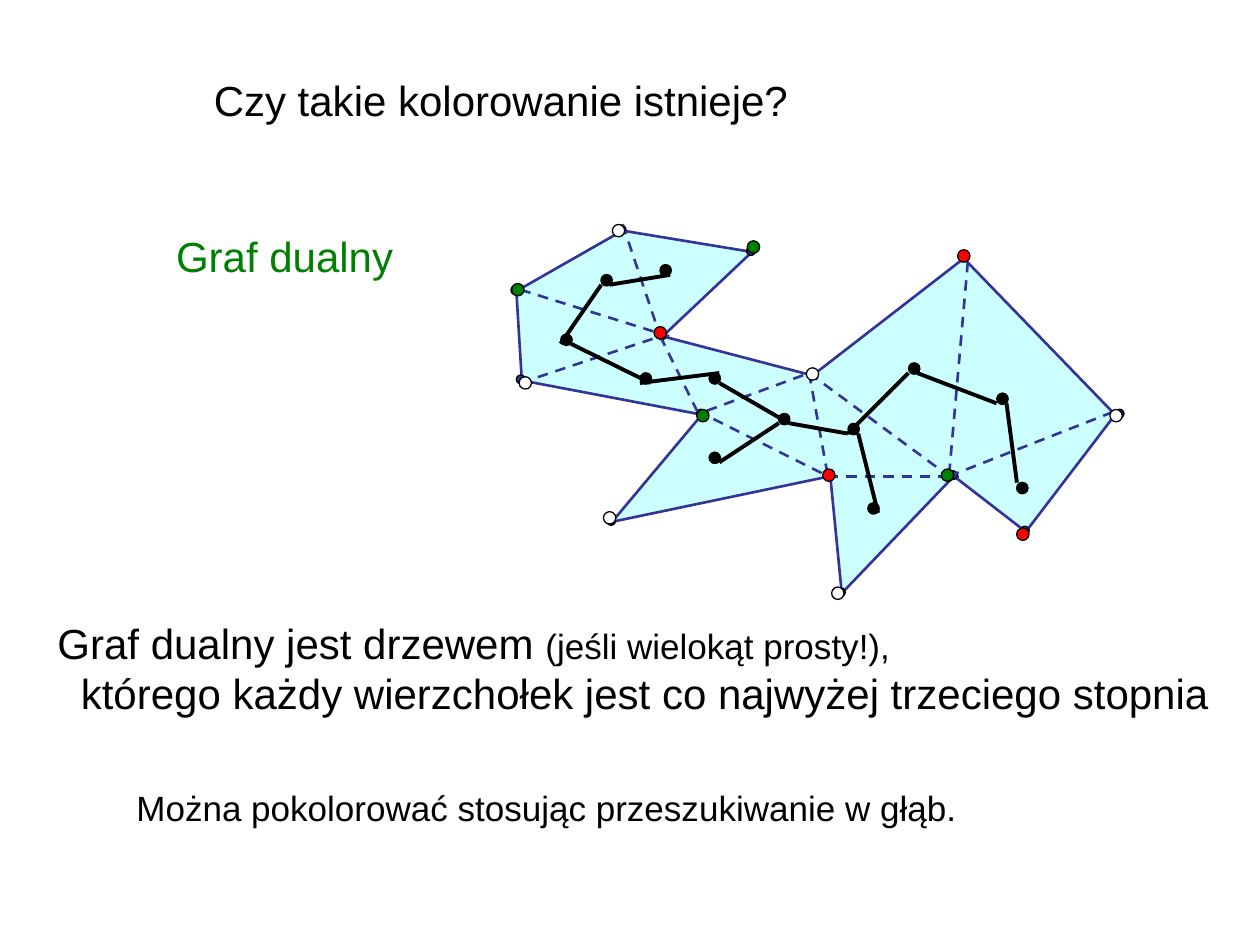
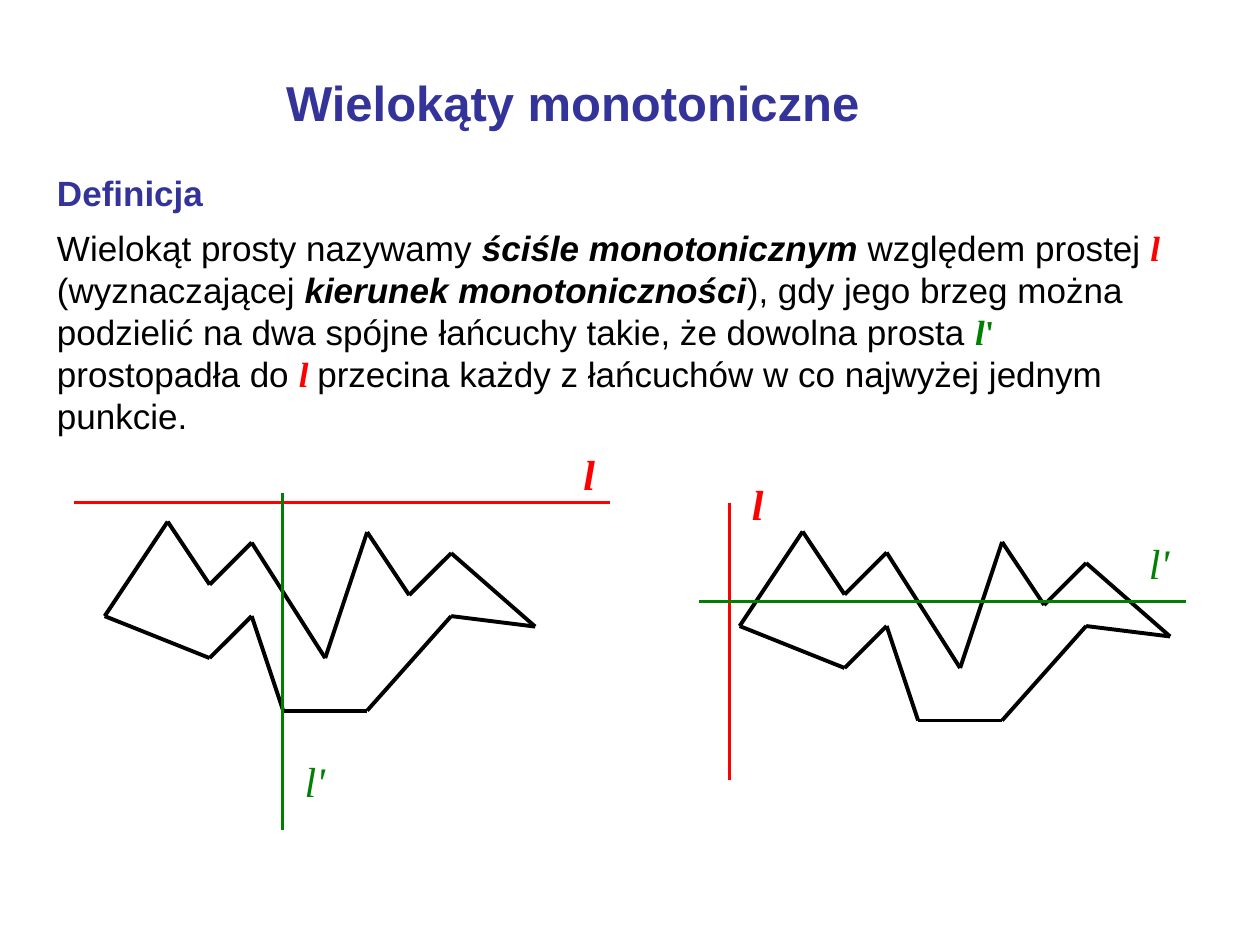
from itertools import pairwise

from lxml.etree import SubElement
from pptx import Presentation
from pptx.dml.color import RGBColor
from pptx.enum.dml import MSO_LINE
from pptx.enum.shapes import MSO_CONNECTOR, MSO_SHAPE
from pptx.enum.text import MSO_AUTO_SIZE
from pptx.oxml.ns import qn
from pptx.util import Cm, Pt

# Shared look
COLORS = {"black": "000000", "white": "FFFFFF", "red": "FF0000",
          "green": "008000", "navy": "333399", "pale": "CCFFFF"}
SANS, SERIF = "Arial", "Times New Roman"
THIN, MEDIUM, THICK = 0.75, 1.5, 2.25
PLAIN = {"name": SANS, "color": "black"}
TERM = PLAIN | {"bold": True, "italic": True}
HEADING = {"name": SANS, "color": "navy", "bold": True}
LINE_L = {"name": SERIF, "color": "red", "bold": True, "italic": True}
LINE_L_PRIME = {"name": SERIF, "color": "green", "italic": True}
BOLD_L_PRIME = LINE_L_PRIME | {"bold": True}

# Slide 1 texts: left, top, width, height (cm), wrap, paragraphs
# A paragraph is: font, runs (text, font), further layout
DUAL_TEXTS = [
    (4.06, 1.37, 12.09, 1.27, False,
     [(PLAIN | {"size": 24}, [("Czy takie kolorowanie istnieje?", {})], {})]),
    (3.3, 4.52, 4.88, 1.27, False,
     [(PLAIN | {"size": 24, "color": "green"}, [("Graf dualny", {})], {})]),
    (0.91, 12.32, 23.7, 2.29, False,
     [(PLAIN, [("Graf dualny jest drzewem ", {"size": 24}),
               ("(jeśli wielokąt prosty!),", {"size": 20})], {}),
      (PLAIN | {"size": 24},
       [("którego każdy wierzchołek jest co najwyżej trzeciego stopnia", {})],
       {"indent": 0.47})]),
    (2.5, 15.73, 18.8, 1.12, True,
     [(PLAIN | {"size": 20},
       [("Można pokolorować stosując przeszukiwanie w głąb.", {})], {})]),
]

# Polygon corners (cm), each with the centre and colour of its colouring dot
CORNERS = [
    ((12.55, 4.65), (12.47, 4.65), "white"),
    ((10.41, 5.87), (10.44, 5.84), "green"),
    ((10.52, 7.67), (10.59, 7.72), "white"),
    ((14.15, 8.36), (14.17, 8.38), "green"),
    ((12.34, 10.52), (12.29, 10.44), "white"),
    ((16.74, 9.6), (16.71, 9.58), "red"),
    ((16.97, 11.96), (16.89, 11.96), "white"),
    ((19.23, 9.6), (19.1, 9.58), "green"),
    ((20.68, 10.72), (20.62, 10.77), "red"),
    ((22.48, 8.36), (22.5, 8.38), "white"),
    ((19.43, 5.21), (19.43, 5.16), "red"),
    ((16.38, 7.57), (16.38, 7.54), "white"),
    ((13.36, 6.78), (13.31, 6.71), "red"),
    ((15.16, 5.08), (15.19, 4.98), "green"),
]
# Corner dots sit a little up and left; the rightmost one is outside the outline
CORNER_DOT_OFFSET = 0.02
OUTSIDE_DOTS = {(22.48, 8.36): (22.59, 8.36)}

DIAGONALS = [
    ((12.55, 4.52), (13.31, 6.78)),
    ((10.49, 5.84), (13.49, 6.78)),
    ((10.49, 7.72), (13.31, 6.78)),
    ((13.31, 6.78), (14.05, 8.28)),
    ((14.05, 8.28), (16.69, 9.6)),
    ((14.25, 8.28), (16.31, 7.52)),
    ((16.31, 7.52), (16.69, 9.6)),
    ((16.69, 9.6), (19.33, 9.6)),
    ((16.31, 7.52), (19.13, 9.6)),
    ((19.51, 5.28), (19.13, 9.6)),
    ((19.13, 9.6), (22.5, 8.28)),
]

DUAL_NODES = [
    (13.42, 5.45), (12.23, 5.65), (11.42, 6.85), (13.02, 7.63),
    (14.41, 7.63), (14.41, 9.23), (15.81, 8.45), (17.21, 8.65),
    (18.43, 7.43), (20.21, 8.04), (17.61, 10.25), (20.61, 9.84),
]
DUAL_EDGES = [
    ((13.51, 5.54), (12.29, 5.74)),
    ((12.12, 5.74), (11.3, 6.93)),
    ((11.51, 6.93), (13.11, 7.72)),
    ((12.9, 7.72), (14.5, 7.52)),
    ((14.5, 7.72), (15.9, 8.53)),
    ((15.7, 8.53), (14.5, 9.32)),
    ((15.9, 8.53), (17.09, 8.74)),
    ((17.3, 8.74), (17.7, 10.34)),
    ((17.09, 8.74), (18.31, 7.52)),
    ((18.49, 7.52), (20.09, 8.13)),
    ((20.29, 8.13), (20.5, 9.73)),
]

# Slide 2 texts
DEFINITION = [
    ("Wielokąt prosty nazywamy ", PLAIN),
    ("ściśle monotonicznym", TERM),
    (" względem prostej ", PLAIN),
    ("l ", LINE_L),
    ("(wyznaczającej ", PLAIN),
    ("kierunek monotoniczności", TERM),
    ("), gdy jego brzeg można podzielić na dwa spójne łańcuchy takie, "
     "że dowolna prosta ", PLAIN),
    ("l", BOLD_L_PRIME),
    ("'", BOLD_L_PRIME | {"italic": False}),
    (" prostopadła do ", PLAIN),
    ("l ", LINE_L),
    ("przecina każdy z łańcuchów w co najwyżej jednym punkcie.", PLAIN),
]
MONOTONE_TEXTS = [
    (5.52, 1.33, 12.07, 1.45, False,
     [(HEADING | {"size": 28}, [("Wielokąty monotoniczne", {})], {})]),
    (0.9, 3.33, 22.81, 5.61, True,
     [(HEADING | {"size": 20}, [("Definicja", {})], {}),
      ({"size": 20}, DEFINITION, {"before": 7.5})]),
]

# Both chains of the polygon, in grid steps from its left corner
GRID = 2.54 / 12
CHAINS = [
    [(0, 0), (6, -9), (10, -3), (14, -7), (21, 4), (25, -8), (29, -2),
     (33, -6), (41, 1)],
    [(0, 0), (10, 4), (14, 0), (17, 9), (25, 9), (33, 0), (41, 1)],
]
# Left corner, line l, line l', and the places of their labels (cm)
EXAMPLES = [
    {"corner": (2.11, 12.42),
     "l": ((1.5, 10.13), (12.29, 10.13)), "l label": (11.51, 8.92),
     "l'": ((5.69, 9.93), (5.69, 16.74)), "l' label": (5.89, 15.11)},
    {"corner": (14.91, 12.62),
     "l": ((14.71, 10.13), (14.71, 15.72)), "l label": (14.91, 9.53),
     "l'": ((14.1, 12.12), (23.9, 12.12)), "l' label": (22.91, 10.72)},
]
LABEL_WIDTHS = {"l": 0.74, "l'": 1.05}


def rgb(color):
    return RGBColor.from_string(COLORS[color])


def set_font(font, name=None, size=None, color=None, bold=None, italic=None):
    if name:
        font.name = name
    if size:
        font.size = Pt(size)
    if color:
        font.color.rgb = rgb(color)
    font.bold, font.italic = bold, italic


def add_text(slide, left, top, width, height, wrap, paragraphs):
    frame = slide.shapes.add_textbox(
        Cm(left), Cm(top), Cm(width), Cm(height)).text_frame
    frame.word_wrap = wrap
    frame.auto_size = MSO_AUTO_SIZE.SHAPE_TO_FIT_TEXT
    for number, (font, runs, layout) in enumerate(paragraphs):
        paragraph = frame.add_paragraph() if number else frame.paragraphs[0]
        if "indent" in layout:
            paragraph._p.get_or_add_pPr().set("marL", str(Cm(layout["indent"])))
        if "before" in layout:
            paragraph.space_before = Pt(layout["before"])
        set_font(paragraph.font, **font)
        for text, run_font in runs:
            run = paragraph.add_run()
            run.text = text
            if run_font:
                set_font(run.font, **run_font)


def add_line(slide, start, end, color, weight, dash=None):
    line = slide.shapes.add_connector(
        MSO_CONNECTOR.STRAIGHT, *(Cm(v) for v in (*start, *end)))
    line.line.color.rgb = rgb(color)
    line.line.width = Pt(weight)
    if dash:
        line.line.dash_style = dash
    SubElement(line._element.spPr, qn("a:effectLst"))


def paint(shape, fill, outline, weight):
    shape.shadow.inherit = False
    shape.fill.solid()
    shape.fill.fore_color.rgb = rgb(fill)
    shape.line.color.rgb = rgb(outline)
    shape.line.width = Pt(weight)


def add_dot(slide, center, size, color):
    x, y = center
    dot = slide.shapes.add_shape(
        MSO_SHAPE.OVAL, Cm(x - size / 2), Cm(y - size / 2), Cm(size), Cm(size))
    paint(dot, color, "black", THIN)


def build_dual_graph(slide):
    # Triangulated polygon
    outline = [(Cm(x), Cm(y)) for (x, y), _, _ in CORNERS]
    builder = slide.shapes.build_freeform(*outline[0], scale=1.0)
    builder.add_line_segments(outline[1:], close=True)
    paint(builder.convert_to_shape(), "pale", "navy", MEDIUM)
    for corner, _, _ in CORNERS:
        x, y = OUTSIDE_DOTS.get(corner, corner)
        add_dot(slide, (x - CORNER_DOT_OFFSET, y - CORNER_DOT_OFFSET),
                0.18, "navy")
    for start, end in DIAGONALS:
        add_line(slide, start, end, "navy", MEDIUM, MSO_LINE.DASH)
    # Three-colouring
    for _, center, color in CORNERS:
        add_dot(slide, center, 0.25, color)
    # Dual tree
    for node in DUAL_NODES:
        add_dot(slide, node, 0.23, "black")
    for start, end in DUAL_EDGES:
        add_line(slide, start, end, "black", THICK)
    for text in DUAL_TEXTS:
        add_text(slide, *text)


def build_monotone(slide):
    for text in MONOTONE_TEXTS:
        add_text(slide, *text)
    for example in EXAMPLES:
        # Polygon
        x, y = example["corner"]
        for chain in CHAINS:
            points = [(x + dx * GRID, y + dy * GRID) for dx, dy in chain]
            for start, end in pairwise(points):
                add_line(slide, start, end, "black", THICK)
        # Direction l and its perpendicular l'
        for name, font in (("l", LINE_L), ("l'", LINE_L_PRIME)):
            add_line(slide, *example[name], font["color"], MEDIUM)
            add_text(slide, *example[f"{name} label"], LABEL_WIDTHS[name],
                     1.27, False, [(font | {"size": 24}, [(name, {})], {})])


def main():
    deck = Presentation()
    deck.slide_width, deck.slide_height = Cm(25.4), Cm(19.05)
    for build in (build_dual_graph, build_monotone):
        build(deck.slides.add_slide(deck.slide_layouts[6]))
    deck.save("out.pptx")


if __name__ == "__main__":
    main()
